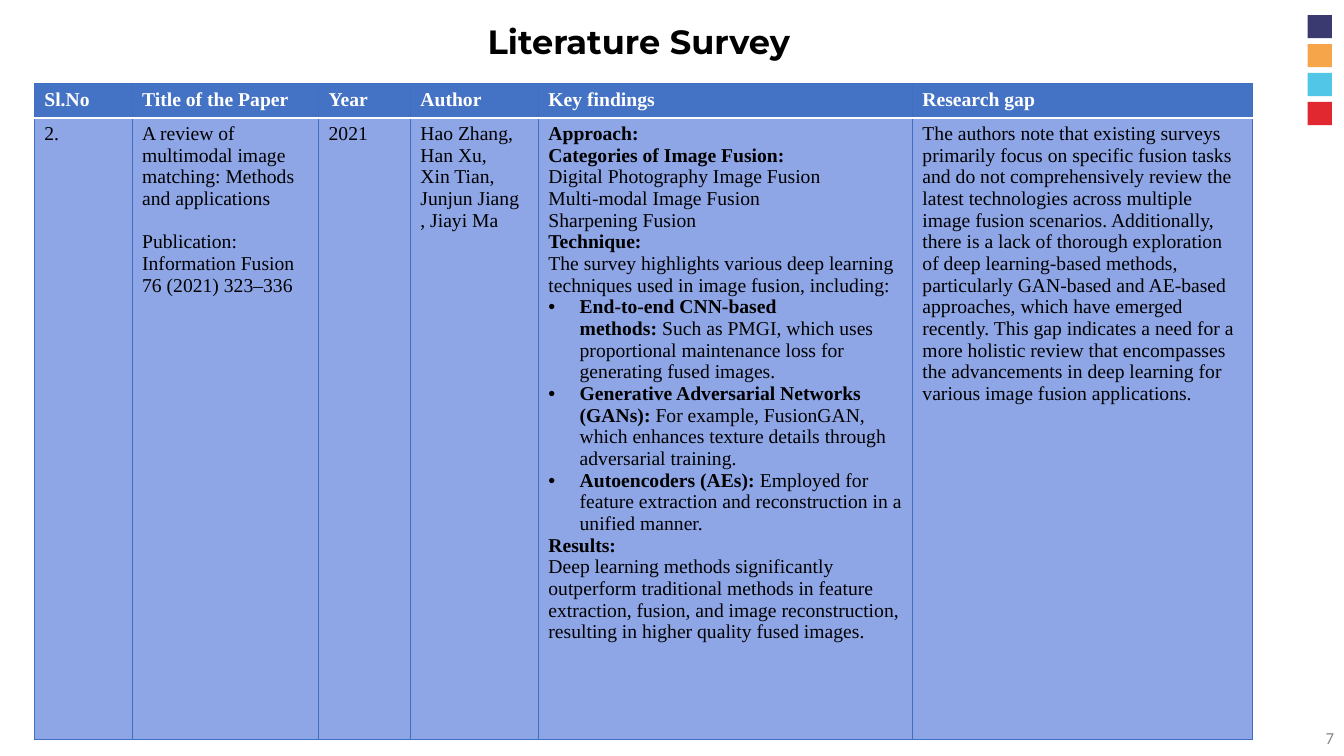
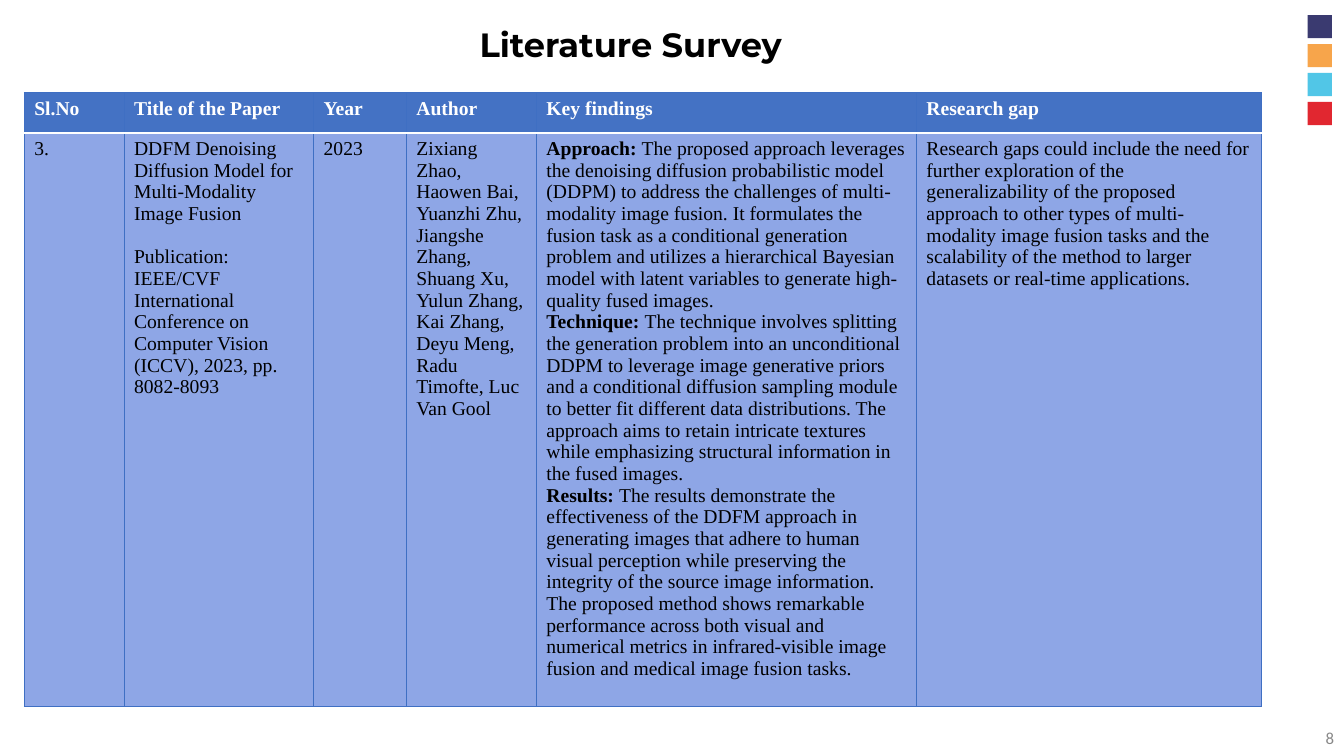
from lxml import etree
from pptx import Presentation
from pptx.dml.color import RGBColor
from pptx.enum import shapes, text
from pptx.oxml.ns import qn
from pptx.util import Inches, Pt

BLACK, WHITE, GREY = "000000", "FFFFFF", "888888"
HEADER_FILL, BODY_FILL, BORDER = "4472C4", "8EA6E6", "3F6FC3"
SQUARES = ["3A3A70", "F7A54B", "51C6E7", "E12730"]
BODY_FONT = "Times New Roman"
LINE_GAP = 15.5
NBSP = chr(160)

TITLE = "Literature Survey"
HEADINGS = ["Sl.No", "Title of the Paper", "Year", "Author", "Key findings", "Research gap"]

# A cell is a list of paragraphs: plain text, or a dict with bold lead, text, bullet and space before.
SURVEYS = [
    {
        "page": "7",
        "title_at": (3, 0.16),
        "table_at": (0.34, 0.83),
        "columns": [0.97, 1.85, 0.91, 1.27, 3.71, 3.37],
        "rows": [0.34, 6.17],
        "cells": [
            ["2."],
            ["A review of multimodal image matching: Methods and applications",
             {"text": "Publication: Information Fusion 76 (2021) 323–336", "before": LINE_GAP}],
            ["2021"],
            ["Hao Zhang,", "Han Xu,", "Xin Tian, Junjun Jiang", ", Jiayi Ma"],
            [
                {"lead": "Approach:"},
                {"lead": "Categories of Image Fusion:"},
                "Digital Photography Image Fusion",
                "Multi-modal Image Fusion",
                "Sharpening Fusion",
                {"lead": "Technique:"},
                "The survey highlights various deep learning techniques used in image fusion, "
                "including:",
                {"lead": "End-to-end CNN-based methods:", "bullet": True,
                 "text": NBSP + "Such as PMGI, which uses proportional maintenance loss for "
                         "generating fused images."},
                {"lead": "Generative Adversarial Networks (GANs):", "bullet": True,
                 "text": NBSP + "For example, FusionGAN, which enhances texture details through "
                         "adversarial training."},
                {"lead": "Autoencoders (AEs):", "bullet": True,
                 "text": NBSP + "Employed for feature extraction and reconstruction in a unified "
                         "manner."},
                {"lead": "Results:"},
                "Deep learning methods significantly outperform traditional methods in feature "
                "extraction, fusion, and image reconstruction, resulting in higher quality fused "
                "images.",
            ],
            ["The authors note that existing surveys primarily focus on specific fusion tasks and "
             "do not comprehensively review the latest technologies across multiple image fusion "
             "scenarios. Additionally, there is a lack of thorough exploration of deep "
             "learning-based methods, particularly GAN-based and AE-based approaches, which have "
             "emerged recently. This gap indicates a need for a more holistic review that "
             "encompasses the advancements in deep learning for various image fusion "
             "applications."],
        ],
    },
    {
        "page": "8",
        "title_at": (2.92, 0.19),
        "table_at": (0.24, 0.92),
        "columns": [0.99, 1.88, 0.92, 1.29, 3.77, 3.42],
        "rows": [0.4, 5.69],
        "cells": [
            ["3."],
            ["DDFM Denoising Diffusion Model for Multi-Modality Image Fusion",
             {"text": "Publication: IEEE/CVF International Conference on Computer Vision (ICCV), "
                      "2023, pp. 8082-8093", "before": LINE_GAP}],
            ["2023"],
            ["Zixiang Zhao, Haowen Bai,", "Yuanzhi Zhu,", "Jiangshe Zhang, Shuang Xu,",
             "Yulun Zhang, Kai Zhang, Deyu Meng, Radu Timofte, Luc Van Gool"],
            [
                {"lead": "Approach: ",
                 "text": "The proposed approach leverages the denoising diffusion probabilistic "
                         "model (DDPM) to address the challenges of multi-modality image fusion. "
                         "It formulates the fusion task as a conditional generation problem and "
                         "utilizes a hierarchical Bayesian model with latent variables to generate "
                         "high-quality fused images."},
                {"lead": "Technique: ",
                 "text": "The technique involves splitting the generation problem into an "
                         "unconditional DDPM to leverage image generative priors and a conditional "
                         "diffusion sampling module to better fit different data distributions. "
                         "The approach aims to retain intricate textures while emphasizing "
                         "structural information in the fused images."},
                {"lead": "Results: ",
                 "text": "The results demonstrate the effectiveness of the DDFM approach in "
                         "generating images that adhere to human visual perception while "
                         "preserving the integrity of the source image information. The proposed "
                         "method shows remarkable performance across both visual and numerical "
                         "metrics in infrared-visible image fusion and medical image fusion "
                         "tasks."},
            ],
            ["Research gaps could include the need for further exploration of the "
             "generalizability of the proposed approach to other types of multi-modality image "
             "fusion tasks and the scalability of the method to larger datasets or real-time "
             "applications."],
        ],
    },
]


def color(value):
    return RGBColor.from_string(value)


def add_run(paragraph, content, font=BODY_FONT, size=14, fill=BLACK, bold=False):
    run = paragraph.add_run()
    run.text = content
    run.font.name = font
    run.font.size = Pt(size)
    run.font.bold = bold
    run.font.color.rgb = color(fill)


def add_bullet(paragraph):
    properties = paragraph._p.get_or_add_pPr()
    indent = Inches(0.31)
    properties.set("marL", str(indent))
    properties.set("indent", str(-indent))
    etree.SubElement(properties, qn("a:buFont")).set("typeface", "Arial")
    etree.SubElement(properties, qn("a:buChar")).set("char", "•")


def set_borders(cell, **lines):
    """Draw the named sides (L, R, T, B), each given as (colour, points)."""
    properties = cell._tc.get_or_add_tcPr()
    for position, side in enumerate(side for side in "LRTB" if side in lines):
        value, width = lines[side]
        line = etree.Element(qn(f"a:ln{side}"), w=str(Pt(width)))
        fill = etree.SubElement(line, qn("a:solidFill"))
        etree.SubElement(fill, qn("a:srgbClr")).set("val", value)
        properties.insert(position, line)


def fill_cell(cell, paragraphs, header=False):
    cell.fill.solid()
    cell.fill.fore_color.rgb = color(HEADER_FILL if header else BODY_FILL)
    edge, divider = (BORDER, 0.75), (WHITE, 2)
    set_borders(cell, L=edge, R=edge, T=edge if header else divider,
                B=divider if header else edge)
    for index, item in enumerate(paragraphs):
        part = {"text": item} if isinstance(item, str) else item
        frame = cell.text_frame
        paragraph = frame.add_paragraph() if index else frame.paragraphs[0]
        if "before" in part:
            paragraph.space_before = Pt(part["before"])
        if part.get("bullet"):
            add_bullet(paragraph)
        if "lead" in part:
            add_run(paragraph, part["lead"], bold=True)
        if "text" in part:
            add_run(paragraph, part["text"], fill=WHITE if header else BLACK, bold=header)


def add_survey_table(slide, survey):
    columns, rows = survey["columns"], survey["rows"]
    left, top = survey["table_at"]
    table = slide.shapes.add_table(
        len(rows), len(columns), Inches(left), Inches(top),
        Inches(sum(columns)), Inches(sum(rows))).table
    table.horz_banding = False
    for column, width in zip(table.columns, columns):
        column.width = Inches(width)
    for row, height in zip(table.rows, rows):
        row.height = Inches(height)
    for index, heading in enumerate(HEADINGS):
        fill_cell(table.cell(0, index), [heading], header=True)
        fill_cell(table.cell(1, index), survey["cells"][index])


def set_title(slide, left, top):
    title = slide.shapes.title
    title.left, title.top = Inches(left), Inches(top)
    title.width, title.height = Inches(6.67), Inches(0.5)
    frame = title.text_frame
    frame.margin_left = frame.margin_right = frame.margin_top = frame.margin_bottom = 0
    frame.vertical_anchor = text.MSO_ANCHOR.MIDDLE
    paragraph = frame.paragraphs[0]
    paragraph.alignment = text.PP_ALIGN.CENTER
    add_run(paragraph, TITLE, font="Montserrat", size=24, bold=True)


def add_page_number(slide, number):
    box = slide.shapes.add_textbox(Inches(10.33), Inches(7.12), Inches(3), Inches(0.4))
    frame = box.text_frame
    frame.word_wrap = True
    frame.vertical_anchor = text.MSO_ANCHOR.MIDDLE
    paragraph = frame.paragraphs[0]
    paragraph.alignment = text.PP_ALIGN.RIGHT
    add_run(paragraph, number, font="Calibri", size=12, fill=GREY)


def add_layout_squares(slide):
    """Draw the corner squares and move them to the layout, so every slide shows them."""
    for index, fill in enumerate(SQUARES):
        square = slide.shapes.add_shape(
            shapes.MSO_SHAPE.RECTANGLE, Inches(12.97), Inches(0.15 + 0.287 * index),
            Inches(0.24), Inches(0.23))
        square.shadow.inherit = False
        square.fill.solid()
        square.fill.fore_color.rgb = color(fill)
        square.line.fill.background()
        square.name = f"Corner square {index + 1}"
        square.element.nvSpPr.cNvPr.set("id", str(20 + index))
        slide.slide_layout.shapes.element.append(square.element)


def main():
    presentation = Presentation()
    presentation.slide_width, presentation.slide_height = Inches(13.33), Inches(7.5)
    layout = presentation.slide_layouts.get_by_name("Title Only")
    for index, survey in enumerate(SURVEYS):
        slide = presentation.slides.add_slide(layout)
        if index == 0:
            add_layout_squares(slide)
        set_title(slide, *survey["title_at"])
        add_survey_table(slide, survey)
        add_page_number(slide, survey["page"])
    presentation.save("out.pptx")


if __name__ == "__main__":
    main()
